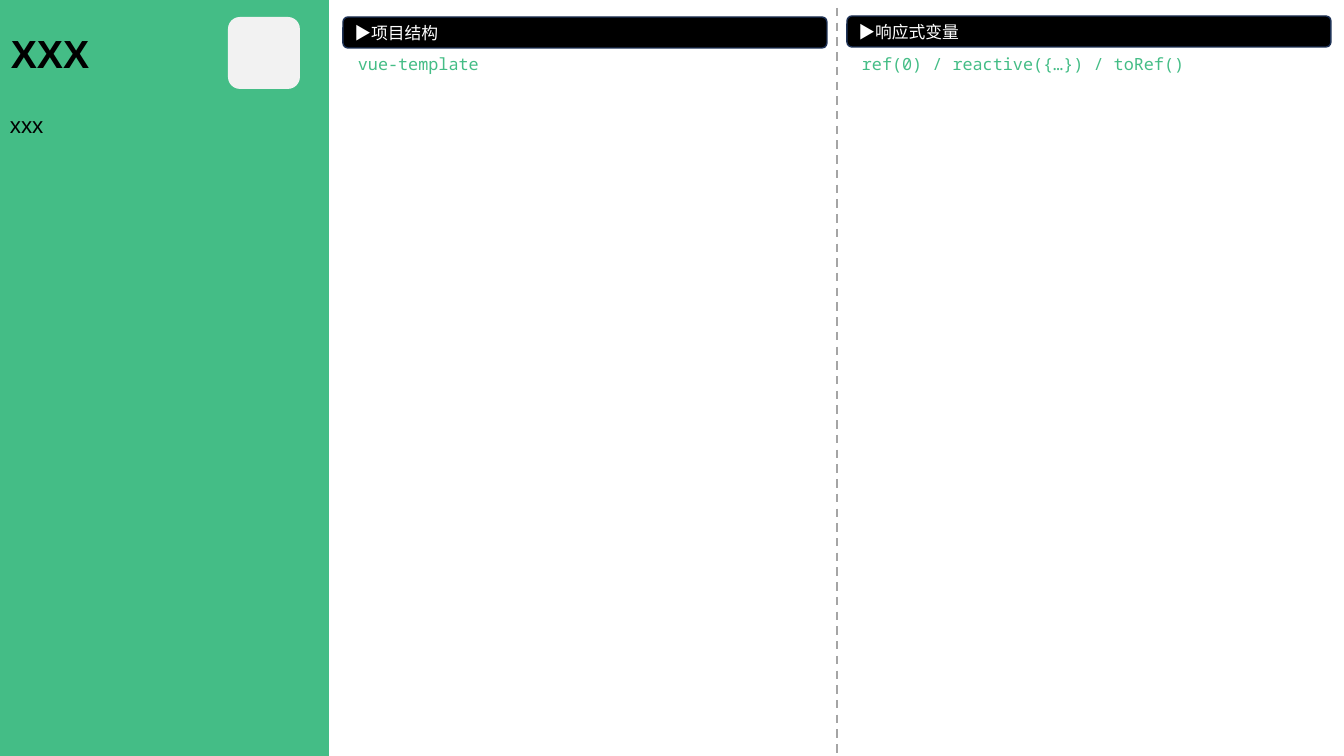
from lxml import etree
from pptx import Presentation
from pptx import util as u
from pptx.dml.color import RGBColor
from pptx.enum import dml, shapes, text
from pptx.oxml import ns

EMU_PER_PX = 914400 / 100.8
COLOURS = {
    "green": "44BD86",
    "black": "000000",
    "navy": "1E3256",
    "white": "FFFFFF",
    "pale": "F2F2F2",
    "grey": "A5A5A5",
}
SECTIONS = [
    (343, 17, "▶项目结构", "vue-template"),
    (847, 16, "▶响应式变量", "ref(0) / reactive({…}) / toRef()"),
]


def px(*lengths):
    return [u.Emu(round(length * EMU_PER_PX)) for length in lengths]


def colour(name):
    return RGBColor.from_string(COLOURS[name])


def write(box, words, size, font_name, ink, bold=False):
    para = box.text_frame.paragraphs[0]
    para.text = words
    para.alignment = text.PP_ALIGN.LEFT
    para.font.size = u.Pt(size)
    para.font.name = font_name
    para.font.bold = bold
    para.font.color.rgb = colour(ink)


def add_block(page, kind, place, fill, outline=None):
    block = page.shapes.add_shape(kind, *px(*place))
    block.shadow.inherit = False
    block.fill.solid()
    block.fill.fore_color.rgb = colour(fill)
    if outline:
        block.line.color.rgb = colour(outline)
        block.line.width = u.Pt(1)
    else:
        block.line.fill.background()
    return block


def add_label(page, place, words, size, font_name, ink, bold=False, wrap=True):
    box = page.shapes.add_textbox(*px(*place))
    box.text_frame.word_wrap = wrap
    box.text_frame.auto_size = text.MSO_AUTO_SIZE.SHAPE_TO_FIT_TEXT
    write(box, words, size, font_name, ink, bold)


def add_section(page, left, top, heading, code):
    bar = add_block(page, shapes.MSO_SHAPE.ROUNDED_RECTANGLE,
                    (left, top, 484, 31), "black", "navy")
    bar.adjustments[0] = 0.16
    bar.text_frame.vertical_anchor = text.MSO_ANCHOR.MIDDLE
    write(bar, heading, 12, "Noto Sans Mono", "white")
    add_label(page, (left + 5, 49, 472, 30), code, 12, "Noto Sans Mono", "green")


def add_divider(page, x, top, bottom):
    divider = page.shapes.add_connector(
        shapes.MSO_CONNECTOR.STRAIGHT, *px(x, top, x, bottom))
    divider.line.color.rgb = colour("grey")
    divider.line.width = u.Pt(1.5)
    divider.line.dash_style = dml.MSO_LINE.DASH
    etree.SubElement(divider._element.spPr, ns.qn("a:effectLst"))


def main():
    deck = Presentation()
    deck.slide_width, deck.slide_height = px(1344, 756)
    page = deck.slides.add_slide(deck.slide_layouts[6])
    add_block(page, shapes.MSO_SHAPE.RECTANGLE, (0, 0, 329, 756), "green")
    for section in SECTIONS:
        add_section(page, *section)
    add_block(page, shapes.MSO_SHAPE.ROUNDED_RECTANGLE, (228, 17, 72, 72), "pale")
    add_divider(page, 837, 8, 753)
    add_label(page, (0, 106, 329, 37), "xxx", 16, "Arial", "black")
    add_label(page, (1, 24, 100, 57), "XXX", 28, "Arial", "black",
              bold=True, wrap=False)
    deck.save("out.pptx")


if __name__ == "__main__":
    main()
